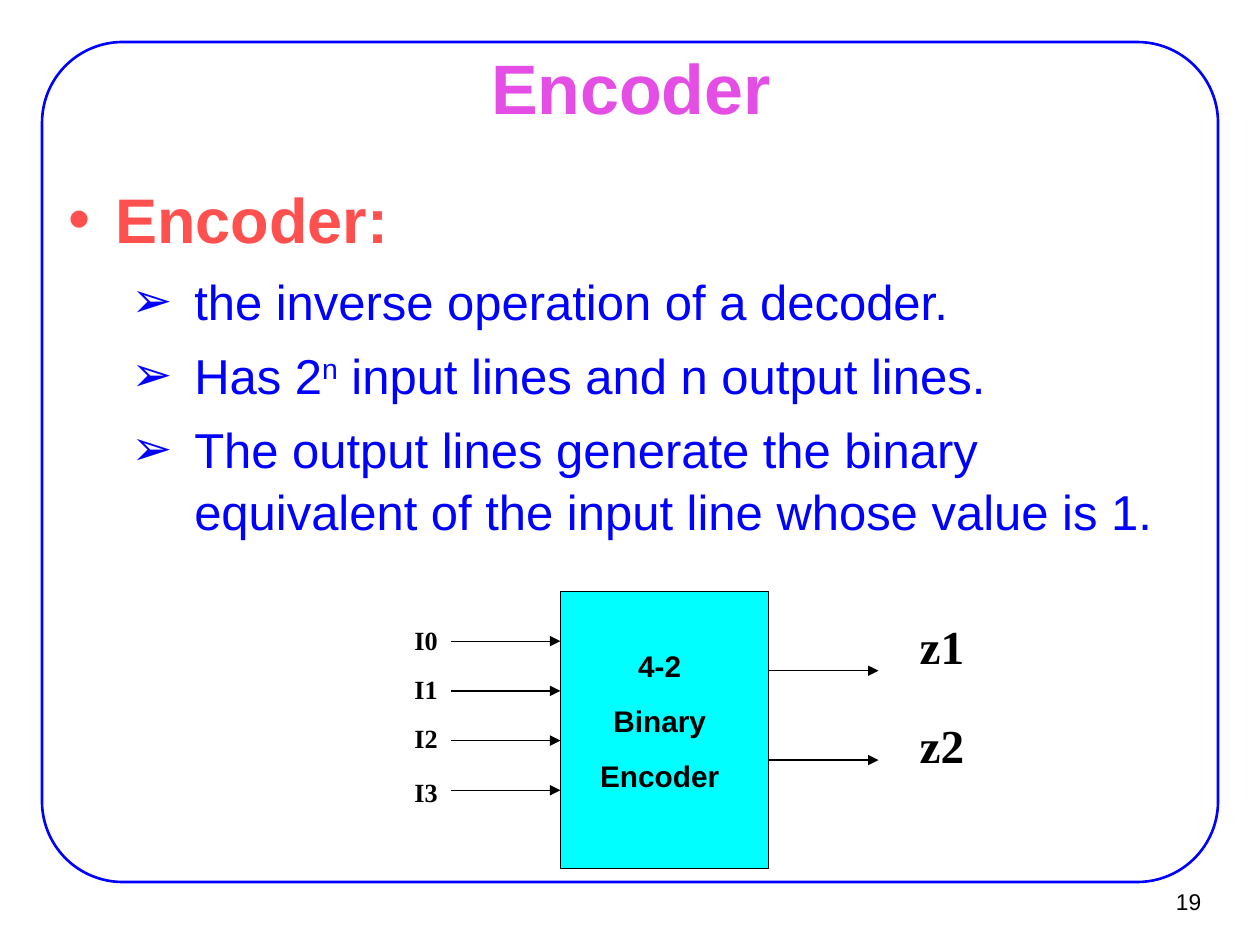
from dataclasses import dataclass

from lxml.etree import SubElement
from pptx import Presentation
from pptx.dml.color import RGBColor
from pptx.enum.shapes import MSO_CONNECTOR, MSO_SHAPE
from pptx.enum.text import MSO_ANCHOR, MSO_AUTO_SIZE, PP_ALIGN
from pptx.oxml.ns import qn
from pptx.slide import Slide
from pptx.util import Pt

BLACK = RGBColor(0x00, 0x00, 0x00)
BLUE = RGBColor(0x00, 0x00, 0xFF)
CYAN = RGBColor(0x00, 0xFF, 0xFF)
CORAL = RGBColor(0xFF, 0x50, 0x50)
ORCHID = RGBColor(0xE4, 0x4E, 0xE4)


@dataclass
class Builder:
    page: Slide
    sans: str = "Arial"
    serif: str = "Times New Roman"
    hairline: float = 0.75

    def place(self, item, left, top, width, height):
        item.left, item.top = Pt(left), Pt(top)
        item.width, item.height = Pt(width), Pt(height)

    def margins(self, frame, side, end):
        frame.margin_left = frame.margin_right = Pt(side)
        frame.margin_top = frame.margin_bottom = Pt(end)

    def add_span(self, para, text, size, color=BLACK, bold=True, font=None):
        span = para.add_run()
        span.text = text
        span.font.name = font or self.sans
        span.font.size = Pt(size)
        span.font.bold = bold
        span.font.color.rgb = color
        return span

    def title(self, text, bounds):
        box = self.page.shapes.title
        self.place(box, *bounds)
        frame = box.text_frame
        self.margins(frame, 8, 4)
        frame.auto_size = MSO_AUTO_SIZE.NONE
        frame.vertical_anchor = MSO_ANCHOR.MIDDLE
        para = frame.paragraphs[0]
        para.alignment = PP_ALIGN.CENTER
        self.add_span(para, text, 40, ORCHID)

    def bullet(self, para, mark, color, left, hang):
        properties = para._p.get_or_add_pPr()
        properties.set("marL", str(Pt(left)))
        properties.set("indent", str(-Pt(hang)))
        fill = SubElement(properties, qn("a:buClr"))
        SubElement(fill, qn("a:srgbClr"), val=str(color))
        SubElement(properties, qn("a:buFont"), typeface=self.sans)
        SubElement(properties, qn("a:buChar"), char=mark)

    def body(self, heading, items, bounds):
        """Fill the body; each item is a list of (text, is_superscript)."""
        box = self.page.placeholders[1]
        self.place(box, *bounds)
        frame = box.text_frame
        self.margins(frame, 8, 4)
        frame.auto_size = MSO_AUTO_SIZE.NONE
        frame.vertical_anchor = MSO_ANCHOR.TOP
        para = frame.paragraphs[0]
        self.bullet(para, "•", CORAL, 27, 27)
        para.space_before = Pt(0)
        para.line_spacing = 1.05
        self.add_span(para, heading, 36, CORAL)
        for item in items:
            para = frame.add_paragraph()
            para.level = 1
            self.bullet(para, "➢", BLUE, 72, 36)
            para.space_before = Pt(7)
            para.line_spacing = 1.05
            for text, is_superscript in item:
                span = self.add_span(para, text, 28, BLUE, bold=False)
                if is_superscript:
                    span.font._element.set("baseline", "30000")

    def shape(self, kind, bounds, line, weight, fill=None):
        shape = self.page.shapes.add_shape(kind, *map(Pt, bounds))
        shape.shadow.inherit = False
        shape.line.color.rgb = line
        shape.line.width = Pt(weight)
        if fill is None:
            shape.fill.background()
        else:
            shape.fill.solid()
            shape.fill.fore_color.rgb = fill
        return shape

    def arrow(self, start, end, y):
        arrow = self.page.shapes.add_connector(
            MSO_CONNECTOR.STRAIGHT, Pt(start), Pt(y), Pt(end), Pt(y))
        arrow.line.color.rgb = BLACK
        arrow.line.width = Pt(self.hairline)
        SubElement(arrow.line._get_or_add_ln(), qn("a:tailEnd"), type="triangle")
        SubElement(arrow._element.spPr, qn("a:effectLst"))

    def text(self, lines, bounds, size, font=None, bold=True,
             align=PP_ALIGN.LEFT, gap=0, wrap=True):
        box = self.page.shapes.add_textbox(*map(Pt, bounds))
        frame = box.text_frame
        frame.word_wrap = wrap
        self.margins(frame, 7.2, 3.6)
        for index, line in enumerate(lines):
            para = frame.add_paragraph() if index else frame.paragraphs[0]
            para.alignment = align
            para.space_before = Pt(gap if index else 0)
            self.add_span(para, line, size, bold=bold, font=font)


def main():
    deck = Presentation()
    deck.slide_width, deck.slide_height = Pt(720), Pt(540)
    builder = Builder(deck.slides.add_slide(deck.slide_layouts[1]))

    frame = builder.shape(MSO_SHAPE.ROUNDED_RECTANGLE, (24, 24, 672, 480), BLUE, 1.5)
    frame.adjustments[0] = 0.096
    builder.text(["19"], (649.5, 503.5, 44, 26.5), 13, bold=False,
                 align=PP_ALIGN.RIGHT, wrap=False)

    builder.title("Encoder", (54.5, 31.5, 612, 35.5))
    builder.body("Encoder:", [
        [("the inverse operation of a decoder.", False)],
        [("Has 2", False), ("n", True), (" input lines and n output lines.", False)],
        [("The output lines generate the binary equivalent of the input line "
          "whose value is 1.", False)],
    ], (31, 97, 663, 366))

    block_left, block_width = 320.25, 119
    block_right = block_left + block_width
    builder.shape(MSO_SHAPE.RECTANGLE, (block_left, 338, block_width, 158.5),
                  BLACK, builder.hairline, CYAN)
    for index, label_top in enumerate((353, 381, 409, 440)):
        builder.arrow(258, block_left, 366.4 + 28.4 * index)
        builder.text([f"I{index}"], (229.7, label_top, 34, 25), 15, builder.serif)
    for index, (arrow_y, label_top) in enumerate(((383.3, 349.4), (434.3, 406)), 1):
        builder.arrow(block_right, 502, arrow_y)
        builder.text([f"z{index}"], (518.4, label_top, 45.5, 39.5), 27, builder.serif)
    builder.text(["4-2", "Binary", "Encoder"], (326, 366.5, 102, 90), 17,
                 align=PP_ALIGN.CENTER, gap=11)

    deck.save("out.pptx")


if __name__ == "__main__":
    main()
